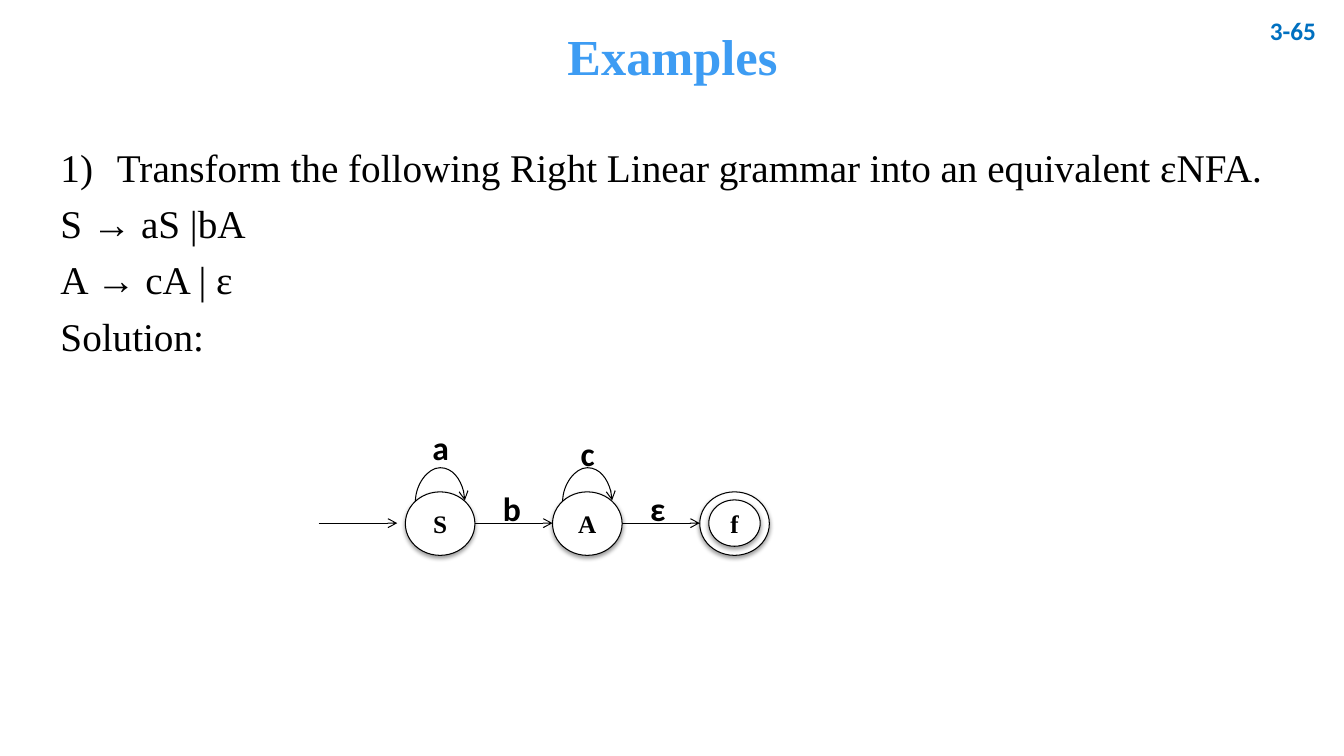
import pptx
import pptx.util
import pptx.oxml
import pptx.oxml.ns
import pptx.dml.color
import pptx.enum.shapes
import pptx.enum.text
from pptx.util import Inches

COLORS = {"title": "3D9CF3", "number": "0070C0", "ink": "000000", "paper": "FFFFFF"}
SERIF, SANS = "Times New Roman", "Calibri"
ALIGN = pptx.enum.text.PP_ALIGN
ANCHOR = pptx.enum.text.MSO_ANCHOR
CONNECTOR = pptx.enum.shapes.MSO_CONNECTOR
qn = pptx.oxml.ns.qn


def color(name):
    return pptx.dml.color.RGBColor.from_string(COLORS[name])


def add_xml(parent, xml):
    """Append one DrawingML element, such as '<a:buNone/>'."""
    tag, rest = xml.split("/>", 1)[0].split(">", 1)[0], xml
    space = ' xmlns:a="http://schemas.openxmlformats.org/drawingml/2006/main"'
    parent.append(pptx.oxml.parse_xml(tag + space + rest[len(tag):]))


def write(para, text, size=18, font=SERIF, ink="ink", bold=False, align=ALIGN.LEFT):
    para.alignment = align
    span = para.add_run()
    span.text = text
    span.font.size = pptx.util.Pt(size)
    span.font.name = font
    span.font.bold = bold
    span.font.color.rgb = color(ink)


class Slide:
    """Style and drawing methods for the current slide."""

    def __init__(self, deck):
        self.slide = deck.slides.add_slide(deck.slide_layouts[1])
        self.diagram = self.slide.shapes.add_group_shape().shapes

    def place(self, box, left, top, width, height):
        box.left, box.top = Inches(left), Inches(top)
        box.width, box.height = Inches(width), Inches(height)

    def title(self, text, *bounds):
        box = self.slide.shapes.title
        self.place(box, *bounds)
        box.text_frame.vertical_anchor = ANCHOR.MIDDLE
        para = box.text_frame.paragraphs[0]
        para.line_spacing = 0.9
        write(para, text, size=36, ink="title", bold=True, align=ALIGN.CENTER)

    def body(self, lines, *bounds):
        box = self.slide.placeholders[1]
        self.place(box, *bounds)
        frame = box.text_frame
        frame.auto_size = pptx.enum.text.MSO_AUTO_SIZE.NONE
        for index, line in enumerate(lines):
            para = frame.add_paragraph() if index else frame.paragraphs[0]
            para.line_spacing = 0.9
            para.space_before = pptx.util.Pt(10 if index else 0)
            # Only the first line is numbered; all share a hanging indent
            props = para._p.get_or_add_pPr()
            props.set("marL", str(Inches(0.56)))
            props.set("indent", str(Inches(-0.56)))
            add_xml(props, "<a:buNone/>" if index else
                    '<a:buFont typeface="+mj-lt"/>')
            if not index:
                add_xml(props, '<a:buAutoNum type="arabicParenR"/>')
            write(para, line, size=28, align=ALIGN.JUSTIFY)

    def page_number(self, text, *bounds):
        box = self.slide.shapes.add_textbox(0, 0, 0, 0)
        self.place(box, *bounds)
        box.text_frame.word_wrap = True
        box.text_frame.vertical_anchor = ANCHOR.MIDDLE
        write(box.text_frame.paragraphs[0], text, font=SANS, ink="number",
              bold=True, align=ALIGN.RIGHT)

    def label(self, text, *bounds):
        box = self.diagram.add_textbox(0, 0, 0, 0)
        self.place(box, *bounds)
        box.text_frame.word_wrap = False
        write(box.text_frame.paragraphs[0], text, size=24, font=SANS, bold=True)

    def state(self, text, *bounds):
        oval = self.diagram.add_shape(pptx.enum.shapes.MSO_SHAPE.OVAL, 0, 0, 0, 0)
        self.place(oval, *bounds)
        oval.fill.solid()
        oval.fill.fore_color.rgb = color("paper")
        oval.line.color.rgb = color("ink")
        oval.line.width = pptx.util.Pt(0.75)
        oval.shadow.inherit = False
        effects = oval._element.spPr.find(qn("a:effectLst"))
        add_xml(effects, '<a:outerShdw blurRad="40000" dist="20000" dir="5400000" '
                         'rotWithShape="0"><a:srgbClr val="%s"><a:alpha val="38000"/>'
                         '</a:srgbClr></a:outerShdw>' % COLORS["ink"])
        if text:
            frame = oval.text_frame
            frame.word_wrap = False
            frame.vertical_anchor = ANCHOR.MIDDLE
            write(frame.paragraphs[0], text, bold=True, align=ALIGN.CENTER)

    def arrow(self, x1, y1, x2, y2, kind=CONNECTOR.STRAIGHT):
        line = self.diagram.add_connector(
            kind, Inches(x1), Inches(y1), Inches(x2), Inches(y2))
        line.line.color.rgb = color("ink")
        line.line.width = pptx.util.Pt(0.75)
        add_xml(line.line._get_or_add_ln(), '<a:tailEnd type="arrow"/>')
        add_xml(line._element.spPr, "<a:effectLst/>")
        return line

    def loop(self, center, base, span, rise):
        # A thin curved connector turned a quarter, bulging upwards
        thin = 0.01
        line = self.arrow(center + thin / 2, base + span / 2,
                          center - thin / 2, base - span / 2, CONNECTOR.CURVE)
        shape = line._element.spPr
        shape.find(qn("a:xfrm")).set("rot", "5400000")
        guides = shape.find(qn("a:prstGeom")).get_or_add_avLst()
        add_xml(guides, '<a:gd name="adj1" fmla="val %d"/>' % round(rise / thin * 100000))


def main():
    deck = pptx.Presentation()
    deck.slide_width, deck.slide_height = Inches(13.33), Inches(7.5)
    page = Slide(deck)

    # Heading, page number and grammar
    page.page_number("3-65", 12.26, 0, 0.89, 0.6)
    page.title("Examples", 0.92, 0.05, 11.5, 1.08)
    page.body(["Transform the following Right Linear grammar into an equivalent εNFA.",
               "S → aS |bA", "A → cA | ε", "Solution:"], 0.5, 1.42, 12.22, 4.75)

    # Automaton states, evenly spaced, the last one accepting
    first, pitch, top, width, height = 4.02, 1.46, 4.88, 0.69, 0.63
    middle = 5.19
    for index, name in enumerate(["S", "Α", ""]):
        page.state(name, first + index * pitch, top, width, height)
    page.state("f", first + 2 * pitch + 0.09, 4.96, 0.51, 0.46)

    # Transitions
    page.arrow(3.16, middle, 3.94, middle)
    for index in range(2):
        left = first + index * pitch
        page.arrow(left + width, middle, left + pitch, middle)
        page.loop(left + width / 2, 4.97, 0.49, 0.34)

    # Transition symbols
    page.label("a", 4.19, 4.19, 0.37, 0.51)
    page.label("c", 5.66, 4.25, 0.34, 0.5)
    page.label("b", 4.89, 4.79, 0.38, 0.5)
    page.label("ε", 6.35, 4.79, 0.36, 0.5)

    deck.save("out.pptx")


if __name__ == "__main__":
    main()
